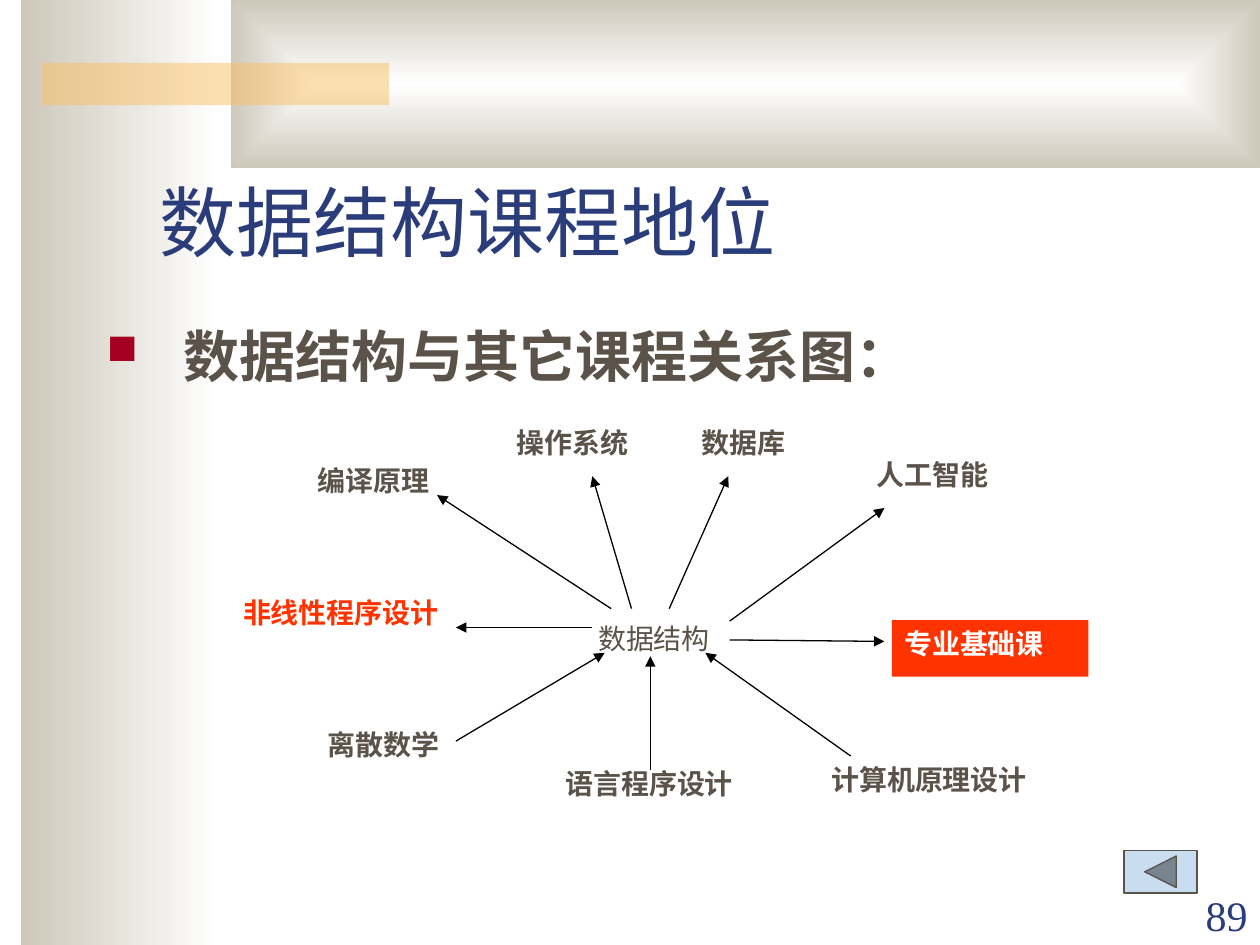
"""Build the slide on how the data structures course relates to other courses."""
from lxml import etree
from pptx import Presentation
from pptx.dml.color import RGBColor
from pptx.enum.shapes import MSO_CONNECTOR, MSO_SHAPE
from pptx.enum.text import MSO_ANCHOR, PP_ALIGN
from pptx.oxml import parse_xml
from pptx.oxml.ns import nsdecls, qn
from pptx.util import Cm, Pt

RECT = MSO_SHAPE.RECTANGLE
BACK = MSO_SHAPE.ACTION_BUTTON_BACK_OR_PREVIOUS
STRAIGHT = MSO_CONNECTOR.STRAIGHT
TOP, BOTTOM = MSO_ANCHOR.TOP, MSO_ANCHOR.BOTTOM
LEFT, RIGHT, JUSTIFY = PP_ALIGN.LEFT, PP_ALIGN.RIGHT, PP_ALIGN.JUSTIFY

WHITE = RGBColor(0xFF, 0xFF, 0xFF)
BLACK = RGBColor(0x00, 0x00, 0x00)
SAND = RGBColor(0xCE, 0xC8, 0xBA)
AMBER = RGBColor(0xFA, 0xC1, 0x64)
NAVY = RGBColor(0x2A, 0x3D, 0x7A)
BROWN = RGBColor(0x5B, 0x52, 0x49)
RED = RGBColor(0xFF, 0x33, 0x00)
PALE_BLUE = RGBColor(0xC9, 0xDD, 0xF1)
SERIF, SANS = "Times New Roman", "Noto Sans CJK SC"

prs = Presentation()
prs.slide_width, prs.slide_height = Cm(25.4), Cm(19.05)
s = prs.slides.add_slide(prs.slide_layouts[6])


def add_box(shape, x, y, w, h):
    sp = s.shapes.add_shape(shape, Cm(x), Cm(y), Cm(w), Cm(h))
    sp.shadow.inherit = False
    sp.line.fill.background()
    return sp


def write(sp, text, size, color, align=LEFT, anchor=TOP, bold=False, font=SERIF):
    tf = sp.text_frame
    tf.word_wrap = True
    tf.vertical_anchor = anchor
    p = tf.paragraphs[0]
    p.alignment = align
    r = p.add_run()
    r.text = text
    r.font.size, r.font.bold, r.font.name = Pt(size), bold, font
    r.font.color.rgb = color
    return p


side = add_box(RECT, 0.42, 0, 4.02, 19.05)
banner = add_box(RECT, 4.66, 0, 20.74, 3.39)
for sp in (side, banner):
    sp.fill.gradient()
    sp.fill.gradient_angle = 180
    for stop, color, position in zip(sp.fill.gradient_stops, (WHITE, SAND), (0, 1)):
        stop.color.rgb = color
        stop.position = position
lin = banner.element.spPr.find(".//" + qn("a:lin"))
lin.getparent().replace(lin, parse_xml(
    f'<a:path {nsdecls("a")} path="rect">'
    '<a:fillToRect l="50000" t="50000" r="50000" b="50000"/></a:path>'))

accent = add_box(RECT, 0.85, 1.27, 6.99, 0.85)
accent.fill.solid()
accent.fill.fore_color.rgb = AMBER
rgb = accent.element.spPr.find(".//" + qn("a:srgbClr"))
etree.SubElement(rgb, qn("a:alpha"), val="50000")

title = s.shapes.add_textbox(Cm(2.96), Cm(2.33), Cm(21.59), Cm(3.18))
write(title, "数据结构课程地位", 44, NAVY, anchor=BOTTOM)

body = s.shapes.add_textbox(Cm(1.9), Cm(6.35), Cm(22.22), Cm(10.37))
p = write(body, "数据结构与其它课程关系图：", 32, BROWN, bold=True, font=SANS)
pPr = p._p.get_or_add_pPr()
pPr.set("marL", str(Cm(1.55)))
pPr.set("indent", str(-Cm(1.55)))
for xml in (
    f'<a:buClr {nsdecls("a")}><a:srgbClr val="A50021"/></a:buClr>',
    f'<a:buSzPct {nsdecls("a")} val="75000"/>',
    f'<a:buChar {nsdecls("a")} char="■"/>',
):
    pPr.append(parse_xml(xml))

courses = [
    ("数据结构", 11.81, 12.4, 2.97, WHITE, BROWN, False),
    ("数据库", 13.89, 8.46, 2.34, WHITE, BROWN, True),
    ("人工智能", 17.42, 9.09, 3.1, WHITE, BROWN, True),
    ("专业基础课", 17.98, 12.5, 3.96, RED, WHITE, True),
    ("操作系统", 10.16, 8.46, 2.95, WHITE, BROWN, True),
    ("编译原理", 6.15, 9.22, 3.07, WHITE, BROWN, True),
    ("非线性程序设计", 4.65, 11.89, 4.55, WHITE, RED, True),
    ("离散数学", 6.35, 14.55, 3.25, WHITE, BROWN, True),
    ("语言程序设计", 11.15, 15.32, 4.09, WHITE, BROWN, True),
    ("计算机原理设计", 16.51, 15.24, 4.52, WHITE, BROWN, True),
]
for text, x, y, w, fill, color, bold in courses:
    sp = add_box(RECT, x, y, w, 1.14)
    sp.fill.solid()
    sp.fill.fore_color.rgb = fill
    write(sp, text, 16, color, align=JUSTIFY, bold=bold)

arrows = [
    (13.49, 12.27, 14.68, 9.6),
    (14.71, 12.52, 17.83, 10.24),
    (14.71, 12.9, 17.83, 12.93),
    (11.94, 12.65, 9.19, 12.65),
    (12.32, 12.27, 8.81, 9.98),
    (12.73, 12.27, 11.94, 9.6),
    (13.11, 15.52, 13.11, 13.23),
    (17.15, 15.24, 14.22, 13.16),
    (9.19, 14.94, 12.19, 13.16),
]
for ends in arrows:
    arrow = s.shapes.add_connector(STRAIGHT, *map(Cm, ends))
    arrow.line.color.rgb = BLACK
    arrow.line.width = Pt(0.75)
    etree.SubElement(arrow.line._get_or_add_ln(), qn("a:tailEnd"), type="triangle")
    etree.SubElement(arrow.element.spPr, qn("a:effectLst"))

button = add_box(BACK, 22.66, 17.15, 1.47, 0.85)
button.fill.solid()
button.fill.fore_color.rgb = PALE_BLUE
button.line.color.rgb = BROWN
button.line.width = Pt(0.75)

number = s.shapes.add_textbox(Cm(22.86), Cm(17.81), Cm(2.54), Cm(1.27))
write(number, "89", 24, NAVY, align=RIGHT, anchor=BOTTOM)

prs.save("out.pptx")
